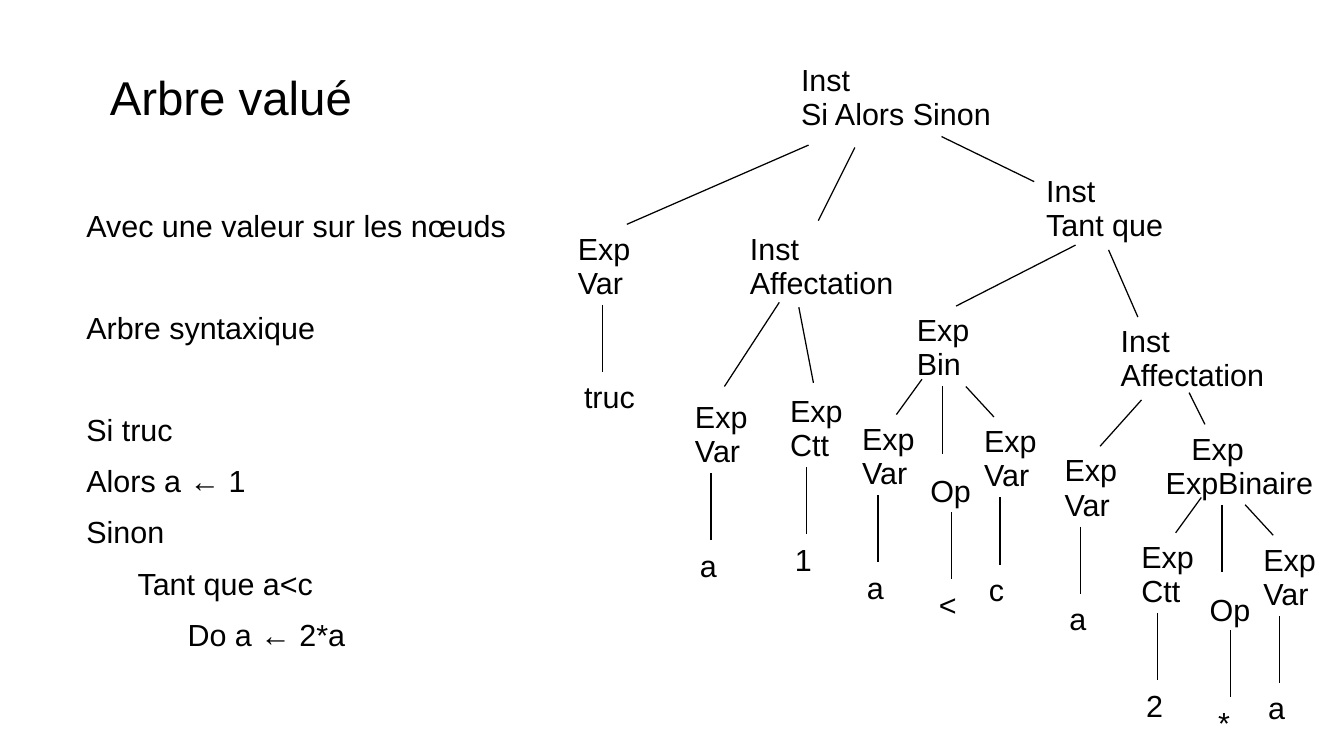
from lxml import etree
from pptx import Presentation
from pptx.dml.color import RGBColor
from pptx.enum.shapes import MSO_CONNECTOR
from pptx.enum.text import MSO_ANCHOR, MSO_AUTO_SIZE, PP_ALIGN
from pptx.oxml.ns import qn
from pptx.util import Inches, Pt

BLACK = RGBColor(0, 0, 0)
FONT = "Arial"

# Content: text column as (text, indent, starts a new group)
TITLE = "Arbre valué"
BODY = [
    ("Avec une valeur sur les nœuds", 0, False),
    ("Arbre syntaxique", 0, True),
    ("Si truc", 0, True),
    ("Alors a ← 1", 0, False),
    ("Sinon", 0, False),
    ("Tant que a<c", 0.42, False),
    ("Do a ← 2*a", 0.83, False),
]

# Inner nodes: first line, second line, left, top, width, first line indent
NODES = [
    ("Inst", "Si Alors Sinon", 6.47, 0.46, 2.03, 0),
    ("Inst", "Affectation", 6.05, 1.84, 1.48, 0),
    ("Inst", "Tant que", 8.48, 1.37, 1.48, 0),
    ("Inst", "Affectation", 9.09, 2.60, 1.48, 0),
    ("Exp", "Bin", 7.42, 2.51, 0.86, 0),
    ("Exp", "ExpBinaire", 9.46, 3.48, 1.48, 0.21),
]

# Branches between inner nodes and down to their expressions
BRANCHES = [
    (6.63, 1.19, 5.14, 1.84), (7.01, 1.21, 6.71, 1.81),
    (7.72, 1.12, 8.48, 1.49), (8.82, 2.01, 7.84, 2.51),
    (9.09, 2.05, 9.33, 2.60), (6.39, 2.48, 5.94, 3.17),
    (6.55, 2.52, 6.67, 3.14), (9.36, 3.28, 9.02, 3.66),
    (9.75, 3.22, 9.88, 3.48),
]

# Expressions with one leaf: kind, value, left, top
TERMINALS = [
    ("Var", "truc", 4.64, 1.84),
    ("Var", "a", 5.60, 3.22),
    ("Ctt", "1", 6.38, 3.17),
    ("Var", "a", 8.63, 3.66),
]

# Binary expressions: left operand, operator, right operand, left, top
BINARIES = [
    (("Var", "a"), "<", ("Var", "c"), 6.97, 3.40),
    (("Ctt", "2"), "*", ("Var", "a"), 9.26, 4.37),
]
BINARY_BRANCHES = [
    (0.59, -0.29, 0.38, 0), (0.76, -0.23, 0.76, 0.32), (0.95, -0.23, 1.18, 0.02),
]
STEM = 0.55

prs = Presentation()
prs.slide_width, prs.slide_height = Inches(11.02), Inches(6.2)
slide = prs.slides.add_slide(prs.slide_layouts[5])


def set_frame(sp, top_inset):
    tf = sp.text_frame
    tf.word_wrap = True
    tf.auto_size = MSO_AUTO_SIZE.NONE
    tf.vertical_anchor = MSO_ANCHOR.TOP
    tf.margin_left = tf.margin_right = Inches(0.1)
    tf.margin_top, tf.margin_bottom = Inches(top_inset), Inches(0.05)
    return tf


def write(p, text, size=18, spacing=0.93, indent=0):
    p.text = text
    p.alignment = PP_ALIGN.LEFT
    p.line_spacing = spacing
    if indent:
        pPr = p._p.get_or_add_pPr()
        pPr.set("marL", str(Inches(indent)))
        pPr.set("indent", "0")
    font = p.runs[0].font
    font.name, font.size = FONT, Pt(size)
    font.color.rgb = BLACK


def add_label(lines, x, y, width, indent=0):
    height = 0.66 if len(lines) == 2 else 0.38
    sp = slide.shapes.add_textbox(Inches(x), Inches(y), Inches(width), Inches(height))
    tf = set_frame(sp, 0.07)
    for i, text in enumerate(lines):
        p = tf.add_paragraph() if i else tf.paragraphs[0]
        write(p, text, indent=0 if i else indent)


def add_branch(x1, y1, x2, y2):
    line = slide.shapes.add_connector(
        MSO_CONNECTOR.STRAIGHT, Inches(x1), Inches(y1), Inches(x2), Inches(y2))
    line.line.color.rgb = BLACK
    line.line.width = Pt(0.75)
    etree.SubElement(line._element.spPr, qn("a:effectLst"))


def add_terminal(kind, value, x, y):
    long_value = len(value) > 1
    stem_x = x + (0.30 if long_value else 0.23)
    add_label(["Exp", kind], x, y, 0.75)
    add_branch(stem_x, y + 0.66, stem_x, y + 0.66 + STEM)
    add_label([value], x + (0.05 if long_value else 0.04), y + 1.22,
              0.79 if long_value else 0.41)


def add_operator(symbol, x, y):
    add_label(["Op"], x, y, 0.64)
    add_branch(x + 0.27, y + 0.37, x + 0.27, y + 0.37 + STEM)
    add_label([symbol], x + 0.07, y + 0.93, 0.41)


# Title
title = slide.shapes.title
title.left, title.top = Inches(0.8), Inches(0.52)
title.width, title.height = Inches(4), Inches(0.6)
write(set_frame(title, 0.08).paragraphs[0], TITLE, size=28)

# Text column
column = slide.shapes.add_textbox(Inches(0.61), Inches(1.5), Inches(4.26), Inches(4.17))
tf = set_frame(column, 0.08)
for i, (text, indent, new_group) in enumerate(BODY):
    p = tf.add_paragraph() if i else tf.paragraphs[0]
    write(p, text, spacing=1.4, indent=indent)
    if new_group:
        p.space_before = Pt(30)

# Syntax tree
for first, second, x, y, width, indent in NODES:
    add_label([first, second], x, y, width, indent)
for branch in BRANCHES:
    add_branch(*branch)
for terminal in TERMINALS:
    add_terminal(*terminal)
for left, symbol, right, x, y in BINARIES:
    for x1, y1, x2, y2 in BINARY_BRANCHES:
        add_branch(x + x1, y + y1, x + x2, y + y2)
    add_terminal(*left, x, y)
    add_operator(symbol, x + 0.56, y + 0.43)
    add_terminal(*right, x + 1, y + 0.02)

prs.save("out.pptx")
